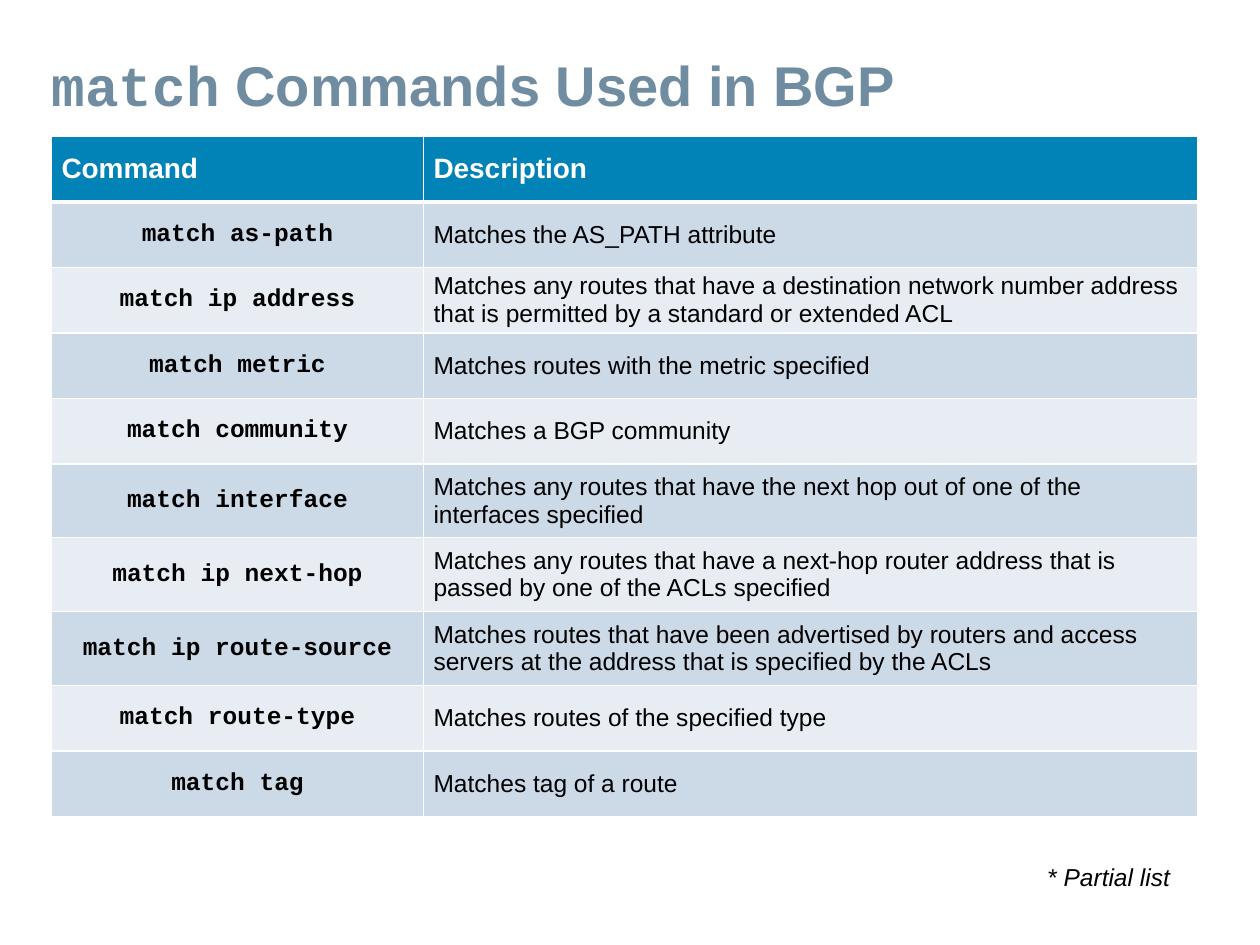
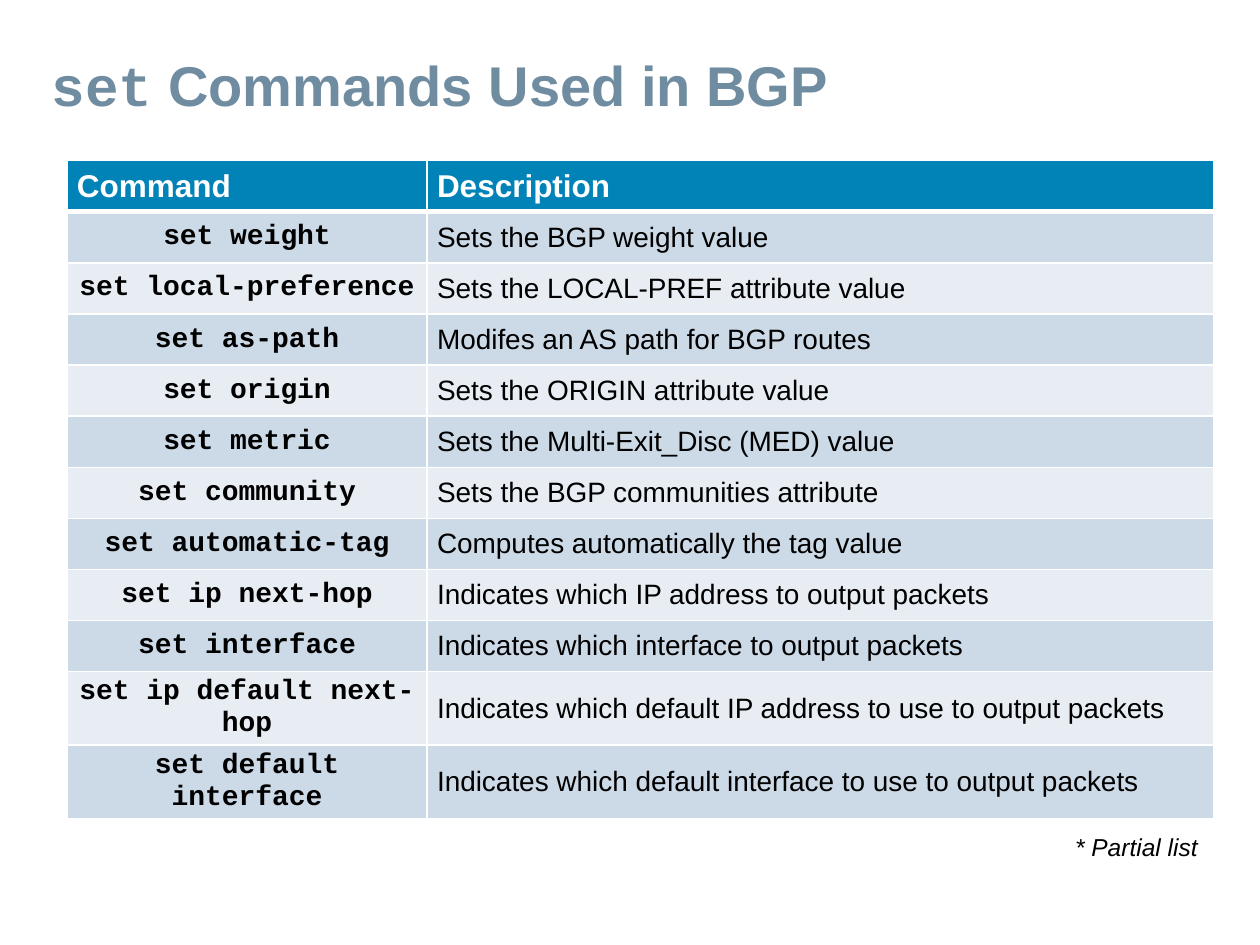
from pptx import Presentation
from pptx.dml.color import RGBColor
from pptx.enum.text import MSO_ANCHOR as Anchor, MSO_AUTO_SIZE as Fit, PP_ALIGN as Align
from pptx.oxml import parse_xml
from pptx.oxml.ns import nsdecls
from pptx.util import Cm, Pt

# Shared look
SANS, MONO = "Arial", "Courier New"
TITLE, HEAD, WHITE, BLACK = "708CA1", "0183B7", "FFFFFF", "000000"
BANDS = ["CCD9E6", "E7EDF3"]


def add_text(para, text, font=SANS, size=14, color=BLACK, bold=False, italic=False):
    run = para.add_run()
    run.text = text
    run.font.name = font
    run.font.size = Pt(size)
    run.font.bold = bold
    run.font.italic = italic
    run.font.color.rgb = RGBColor.from_string(color)


def add_edge(cell, side, width):
    cell._tc.get_or_add_tcPr().append(parse_xml(
        f'<a:ln{side} {nsdecls("a")} w="{Pt(width)}"><a:solidFill>'
        f'<a:srgbClr val="{WHITE}"/></a:solidFill></a:ln{side}>'))


# Content: lengths in cm, text sizes in points
pages = [
    dict(verb="match", left=1.04, top=2.75, cols=[7.5, 15.6], row=1.32,
         tall={5: 1.49, 6: 1.49, 7: 1.49}, size=14, note=(20.85, 17.32), rows=[
             ("as-path", "Matches the AS_PATH attribute"),
             ("ip address", "Matches any routes that have a destination network number "
              "address that is permitted by a standard or extended ACL"),
             ("metric", "Matches routes with the metric specified"),
             ("community", "Matches a BGP community"),
             ("interface", "Matches any routes that have the next hop out of one of the "
              "interfaces specified"),
             ("ip next-hop", "Matches any routes that have a next-hop router address that "
              "is passed by one of the ACLs specified"),
             ("ip route-source", "Matches routes that have been advertised by routers and "
              "access servers at the address that is specified by the ACLs"),
             ("route-type", "Matches routes of the specified type"),
             ("tag", "Matches tag of a route"),
         ]),
    dict(verb="set", left=1.35, top=3.24, cols=[7.26, 15.85], row=1.03,
         tall={10: 1.48, 11: 1.48}, size=16, note=(21.41, 16.71), rows=[
             ("weight", "Sets the BGP weight value"),
             ("local-preference", "Sets the LOCAL-PREF attribute value"),
             ("as-path", "Modifes an AS path for BGP routes"),
             ("origin", "Sets the ORIGIN attribute value"),
             ("metric", "Sets the Multi-Exit_Disc (MED) value"),
             ("community", "Sets the BGP communities attribute"),
             ("automatic-tag", "Computes automatically the tag value"),
             ("ip next-hop", "Indicates which IP address to output packets"),
             ("interface", "Indicates which interface to output packets"),
             ("ip default next-hop",
              "Indicates which default IP address to use to output packets"),
             ("default interface",
              "Indicates which default interface to use to output packets"),
         ]),
]

deck = Presentation()
deck.slide_width, deck.slide_height = Cm(25.4), Cm(19.05)

for page in pages:
    slide = deck.slides.add_slide(deck.slide_layouts[5])
    verb, size = page["verb"], page["size"]

    # Title
    title = slide.shapes.title
    title.left, title.top, title.width, title.height = Cm(0.79), Cm(1.02), Cm(23.67), Cm(1.52)
    frame = title.text_frame
    frame.vertical_anchor = Anchor.MIDDLE
    frame.auto_size = Fit.NONE
    para = frame.paragraphs[0]
    para.alignment = Align.LEFT
    para.line_spacing = 0.9
    add_text(para, verb, font=MONO, size=32, color=TITLE, bold=True)
    add_text(para, " Commands Used in BGP", size=32, color=TITLE, bold=True)

    # Command table
    rows = [("Command", "Description")]
    rows += [(f"{verb} {name}", about) for name, about in page["rows"]]
    highs = [page["tall"].get(i, page["row"]) for i in range(len(rows))]
    table = slide.shapes.add_table(
        len(rows), 2, Cm(page["left"]), Cm(page["top"]),
        Cm(sum(page["cols"])), Cm(sum(highs))).table
    for col, width in zip(table.columns, page["cols"]):
        col.width = Cm(width)
    for i, texts in enumerate(rows):
        table.rows[i].height = Cm(highs[i])
        for j, text in enumerate(texts):
            cell = table.cell(i, j)
            cell.vertical_anchor = Anchor.MIDDLE
            cell.margin_left = cell.margin_right = Cm(0.2)
            cell.margin_top = cell.margin_bottom = Cm(0.1)
            # A thicker rule parts the header from the body
            for side, thick in (("L", False), ("R", False), ("T", i == 1), ("B", i == 0)):
                add_edge(cell, side, 3 if thick else 1)
            cell.fill.solid()
            fill = BANDS[(i - 1) % 2] if i else HEAD
            cell.fill.fore_color.rgb = RGBColor.from_string(fill)
            para = cell.text_frame.paragraphs[0]
            para.space_after = Pt(6)
            if i == 0:
                add_text(para, text, size=size + 2, color=WHITE, bold=True)
            elif j == 0:
                para.alignment = Align.CENTER
                add_text(para, text, font=MONO, size=size, bold=True)
            else:
                add_text(para, text, size=size)

    # Footnote
    left, top = page["note"]
    frame = slide.shapes.add_textbox(Cm(left), Cm(top), Cm(3), Cm(0.79)).text_frame
    frame.word_wrap = False
    frame.auto_size = Fit.SHAPE_TO_FIT_TEXT
    para = frame.paragraphs[0]
    para.alignment = Align.CENTER
    para.line_spacing = 0.9
    add_text(para, "* Partial list", italic=True)

deck.save("out.pptx")
